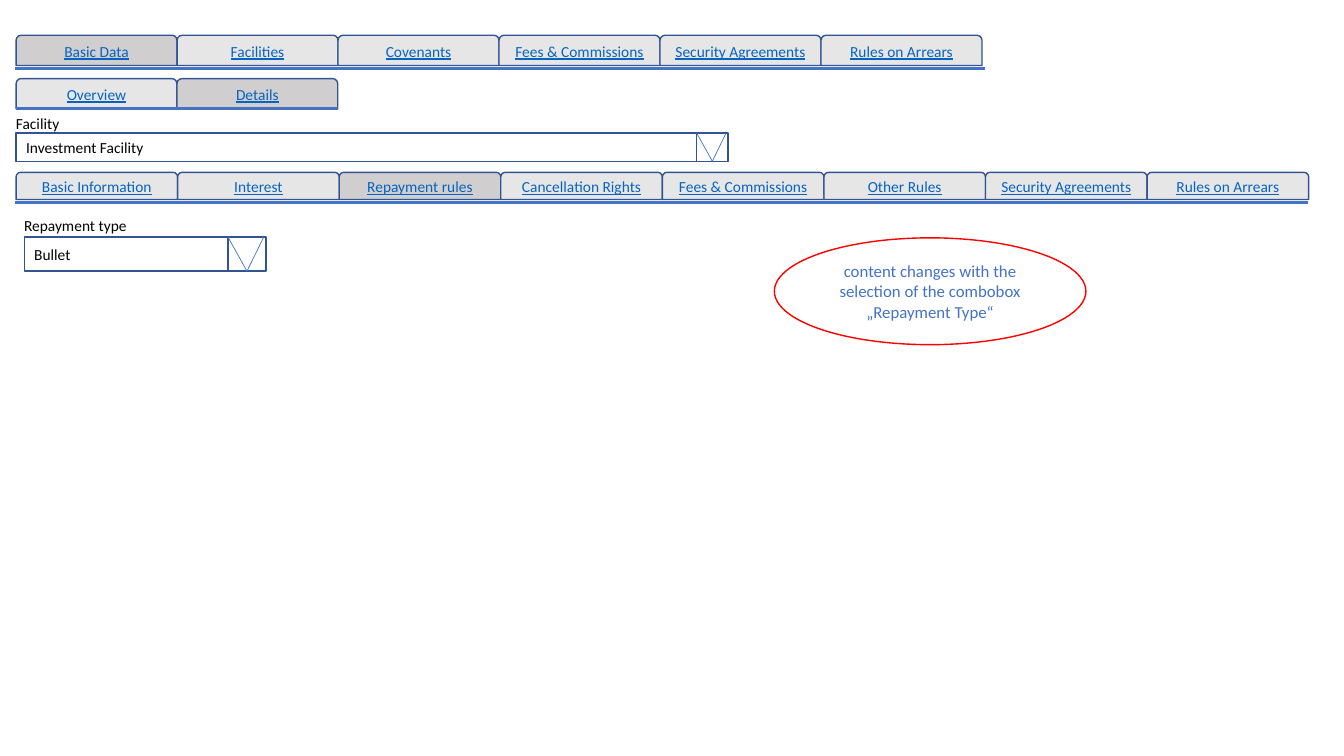
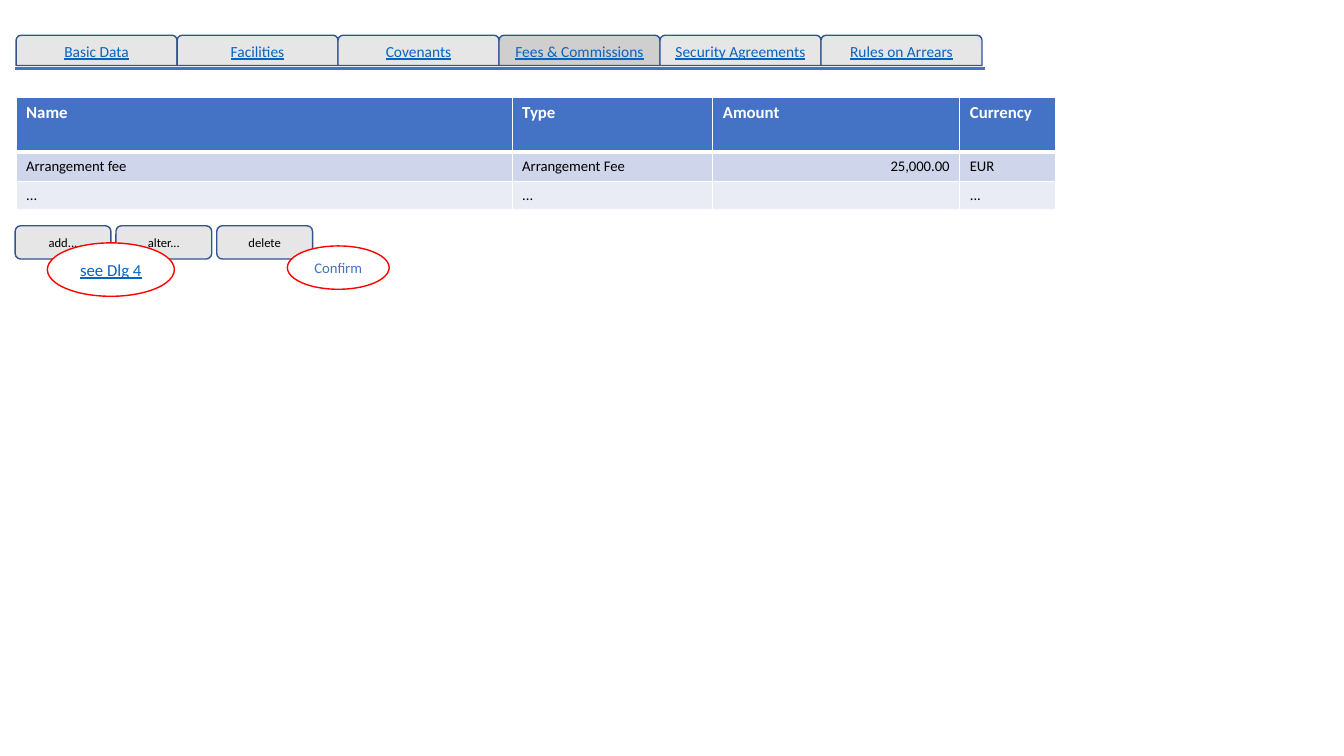
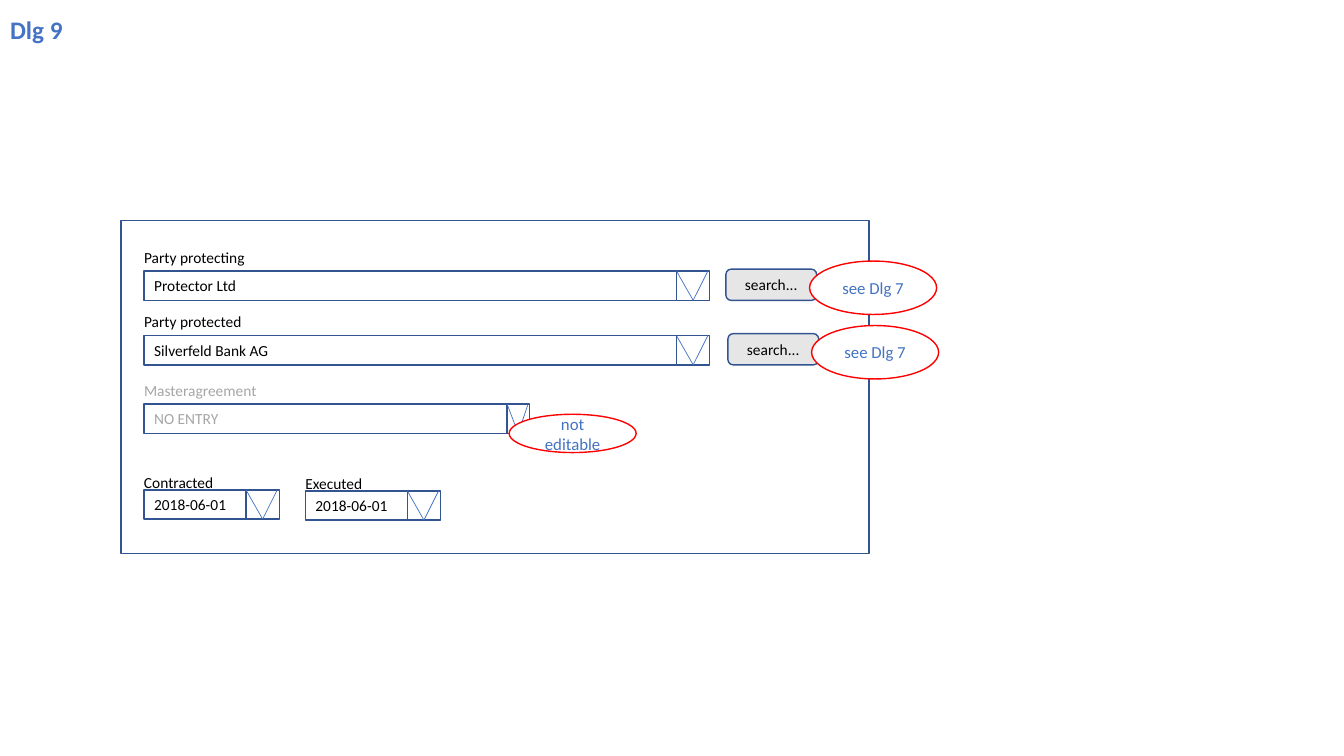
import pptx
import pptx.util
import pptx.dml.color
import pptx.enum.shapes
import pptx.enum.text
import pptx.oxml.ns
from lxml import etree

Inches = pptx.util.Inches
Pt = pptx.util.Pt
RGBColor = pptx.dml.color.RGBColor
SHAPE = pptx.enum.shapes.MSO_SHAPE
ALIGN = pptx.enum.text.PP_ALIGN
ANCHOR = pptx.enum.text.MSO_ANCHOR
qn = pptx.oxml.ns.qn

FONT = "Calibri"
WHITE = RGBColor(0xFF, 0xFF, 0xFF)
BLACK = RGBColor(0x00, 0x00, 0x00)
BLUE = RGBColor(0x44, 0x72, 0xC4)
OUTLINE = RGBColor(0x32, 0x54, 0x91)
LINK = RGBColor(0x05, 0x63, 0xC1)
RED = RGBColor(0xFF, 0x00, 0x00)
GREY = RGBColor(0xE7, 0xE6, 0xE6)
SELECTED = RGBColor(0xD0, 0xCE, 0xCE)
DISABLED = RGBColor(0xA6, 0xA6, 0xA6)
BAND_DARK = RGBColor(0xCF, 0xD5, 0xEA)
BAND_LIGHT = RGBColor(0xE9, 0xEB, 0xF5)

MAIN_TABS = ["Basic Data", "Facilities", "Covenants", "Fees & Commissions",
             "Security Agreements", "Rules on Arrears"]
FACILITY_TABS = ["Basic Information", "Interest", "Repayment rules",
                 "Cancellation Rights", "Fees & Commissions", "Other Rules",
                 "Security Agreements", "Rules on Arrears"]


def write(tf, text, size, color, align=ALIGN.LEFT, bold=False, underline=None):
    """Put one formatted run into a text frame."""
    p = tf.paragraphs[0]
    p.alignment = align
    r = p.add_run()
    r.text = text
    r.font.name = FONT
    r.font.size = Pt(size)
    r.font.bold = bold
    r.font.underline = underline
    r.font.color.rgb = color


def box(s, kind, x, y, w, h, fill=WHITE, line=OUTLINE):
    """Add a filled, outlined shape and return its text frame."""
    sp = s.shapes.add_shape(kind, Inches(x), Inches(y), Inches(w), Inches(h))
    sp.shadow.inherit = False
    sp.fill.solid()
    sp.fill.fore_color.rgb = fill
    sp.line.color.rgb = line
    sp.line.width = Pt(1)
    tf = sp.text_frame
    tf.word_wrap = True
    tf.vertical_anchor = ANCHOR.MIDDLE
    return tf


def rule(s, x1, y1, x2, y2, width):
    """Draw a straight blue line."""
    c = s.shapes.add_connector(pptx.enum.shapes.MSO_CONNECTOR.STRAIGHT,
                               Inches(x1), Inches(y1), Inches(x2), Inches(y2))
    c.line.color.rgb = BLUE
    c.line.width = Pt(width)
    etree.SubElement(c._element.spPr, qn("a:effectLst"))


def tab_row(s, x, y, w, h, names, selected, underline):
    """Draw equal tabs across a box, above a line given relative to the box."""
    pitch = w / len(names)
    for i, name in enumerate(names):
        fill = SELECTED if name == selected else GREY
        tf = box(s, SHAPE.ROUND_2_SAME_RECTANGLE, x + i * pitch, y, pitch, h, fill)
        write(tf, name, 11, LINK, ALIGN.CENTER, underline=True)
    left, right, drop = underline
    rule(s, x + left, y + drop, x + right, y + drop, 2)


def main_tabs(s, selected):
    """Draw the top row of tabs."""
    tab_row(s, 0.16, 0.35, 9.58, 0.3, MAIN_TABS, selected, (-0.01, 9.61, 0.33))


def combo(s, x, y, w, h, arrow_w, label, value, rise=0.28, label_w=1.41, color=BLACK):
    """Draw a labelled combobox whose arrow button fills its right end."""
    write(box(s, SHAPE.RECTANGLE, x, y, w - arrow_w, h), value, 11, color)
    ax = x + w - arrow_w
    box(s, SHAPE.RECTANGLE, ax, y, arrow_w, h)
    for start in (ax, ax + 0.94 * arrow_w):
        rule(s, start, y, ax + arrow_w / 2, y + h, 0.5)
    tb = s.shapes.add_textbox(Inches(x - 0.1), Inches(y - rise), Inches(label_w), Inches(0.29))
    tb.text_frame.word_wrap = True
    write(tb.text_frame, label, 11, color)


def button(s, x, y, w, h, text, size):
    """Draw a rounded grey button."""
    tf = box(s, SHAPE.ROUNDED_RECTANGLE, x, y, w, h, GREY)
    write(tf, text, size, BLACK, ALIGN.CENTER)


def callout(s, x, y, w, h, text, size=12, link=False):
    """Draw a red-rimmed oval remark."""
    tf = box(s, SHAPE.OVAL, x, y, w, h, WHITE, RED)
    write(tf, text, size, LINK if link else BLUE, ALIGN.CENTER, underline=link or None)


def style_cell(cell, fill, bottom):
    """Give a table cell white borders and a solid fill."""
    tcPr = cell._tc.get_or_add_tcPr()
    for side, width in (("L", 1), ("R", 1), ("T", 1), ("B", bottom)):
        ln = etree.SubElement(tcPr, qn("a:ln" + side), w=str(Pt(width)))
        solid = etree.SubElement(ln, qn("a:solidFill"))
        etree.SubElement(solid, qn("a:srgbClr"), val=str(WHITE))
    cell.fill.solid()
    cell.fill.fore_color.rgb = fill


def fee_table(s, x, y, w, h):
    """Draw the table of fees."""
    rows = [("Name", "Type", "Amount", "Currency"),
            ("Arrangement fee", "Arrangement Fee", "25,000.00", "EUR"),
            ("...", "...", "", "...")]
    table = s.shapes.add_table(3, 4, Inches(x), Inches(y), Inches(w), Inches(h)).table
    for col, width in zip(table.columns, (4.92, 1.99, 2.45, 0.95)):
        col.width = Inches(width)
    for row, height in zip(table.rows, (0.54, 0.29, 0.28)):
        row.height = Inches(height)
    for i, (texts, fill) in enumerate(zip(rows, (BLUE, BAND_DARK, BAND_LIGHT))):
        head = i == 0
        for j, text in enumerate(texts):
            cell = table.cell(i, j)
            style_cell(cell, fill, 3 if head else 1)
            if text:
                align = ALIGN.RIGHT if j == 2 and not head else ALIGN.LEFT
                write(cell.text_frame, text, 12 if head else 10.5,
                      WHITE if head else BLACK, align, bold=head)
            else:
                p = cell.text_frame.paragraphs[0]
                etree.SubElement(p._p, qn("a:endParaRPr"), sz="1050")


def fee_buttons(s, x, y):
    """Draw the buttons below the table with their remarks."""
    for i, text in enumerate(("add...", "alter...", "delete")):
        button(s, x + i, y, 0.95, 0.33, text, 9)
    callout(s, x + 0.32, y + 0.17, 1.26, 0.53, "see Dlg 4", link=True)
    callout(s, x + 2.7, y + 0.2, 1.01, 0.43, "Confirm", 10.5)


def dialog_title(s, text):
    """Place the dialog name in the title placeholder."""
    sp = s.shapes.title
    sp.left, sp.top, sp.width, sp.height = Inches(0), Inches(0.09), Inches(0.73), Inches(0.4)
    tf = sp.text_frame
    tf.word_wrap = False
    tf.auto_size = pptx.enum.text.MSO_AUTO_SIZE.NONE
    tf.vertical_anchor = ANCHOR.TOP
    write(tf, text, 18, BLUE, bold=True)


def protection_dialog(s, x, y, w, h):
    """Draw the dialog panel with its fields, buttons and remarks."""
    box(s, SHAPE.RECTANGLE, x, y, w, h)
    left = x + 0.23
    parties = [("Party protecting", "Protector Ltd", 0.5, 6),
               ("Party protected", "Silverfeld Bank AG", 1.14, 6.02)]
    for label, value, dy, dx in parties:
        combo(s, left, y + dy, 5.61, 0.29, 0.33, label, value)
        button(s, x + dx, y + dy - 0.02, 0.9, 0.31, "search...", 11)
        callout(s, x + dx + 0.83, y + dy - 0.1, 1.26, 0.53, "see Dlg 7")
    combo(s, left, y + 1.82, 3.82, 0.29, 0.22, "Masteragreement", "NO ENTRY", color=DISABLED)
    for label, dx, dy, label_w in (("Contracted", 0, 2.67, 0.9), ("Executed", 1.6, 2.68, 0.78)):
        combo(s, left + dx, y + dy, 1.34, 0.29, 0.33, label, "2018-06-01", 0.22, label_w)
    callout(s, x + 3.85, y + 1.92, 1.26, 0.38, "not editable")


def repayment_slide(prs):
    """Build the slide on repayment rules."""
    s = prs.slides.add_slide(prs.slide_layouts[6])
    combo(s, 0.24, 2.35, 2.4, 0.34, 0.38, "Repayment type", "Bullet", 0.26, 1.23)
    combo(s, 0.16, 1.32, 7.06, 0.28, 0.31, "Facility", "Investment Facility", 0.24, 0.66)
    main_tabs(s, "Basic Data")
    tab_row(s, 0.16, 1.71, 12.82, 0.27, FACILITY_TABS, "Repayment rules", (-0.01, 12.81, 0.3))
    tab_row(s, 0.16, 0.78, 3.19, 0.3, ["Overview", "Details"], "Details", (0, 3.19, 0.3))
    callout(s, 7.68, 2.36, 3.09, 1.06,
            "content changes with the selection of the combobox „Repayment Type“")


def fees_slide(prs):
    """Build the slide on fees and commissions."""
    s = prs.slides.add_slide(prs.slide_layouts[6])
    main_tabs(s, "Fees & Commissions")
    fee_table(s, 0.16, 0.97, 10.31, 1.11)
    fee_buttons(s, 0.15, 2.24)


def dialog_slide(prs):
    """Build the slide with the protection dialog."""
    s = prs.slides.add_slide(prs.slide_layouts[5])
    dialog_title(s, "Dlg 9")
    protection_dialog(s, 1.2, 2.19, 7.42, 3.3)


def main():
    """Build and save the presentation."""
    prs = pptx.Presentation()
    prs.slide_width, prs.slide_height = Inches(13.33), Inches(7.5)
    repayment_slide(prs)
    fees_slide(prs)
    dialog_slide(prs)
    prs.save("out.pptx")


if __name__ == "__main__":
    main()
